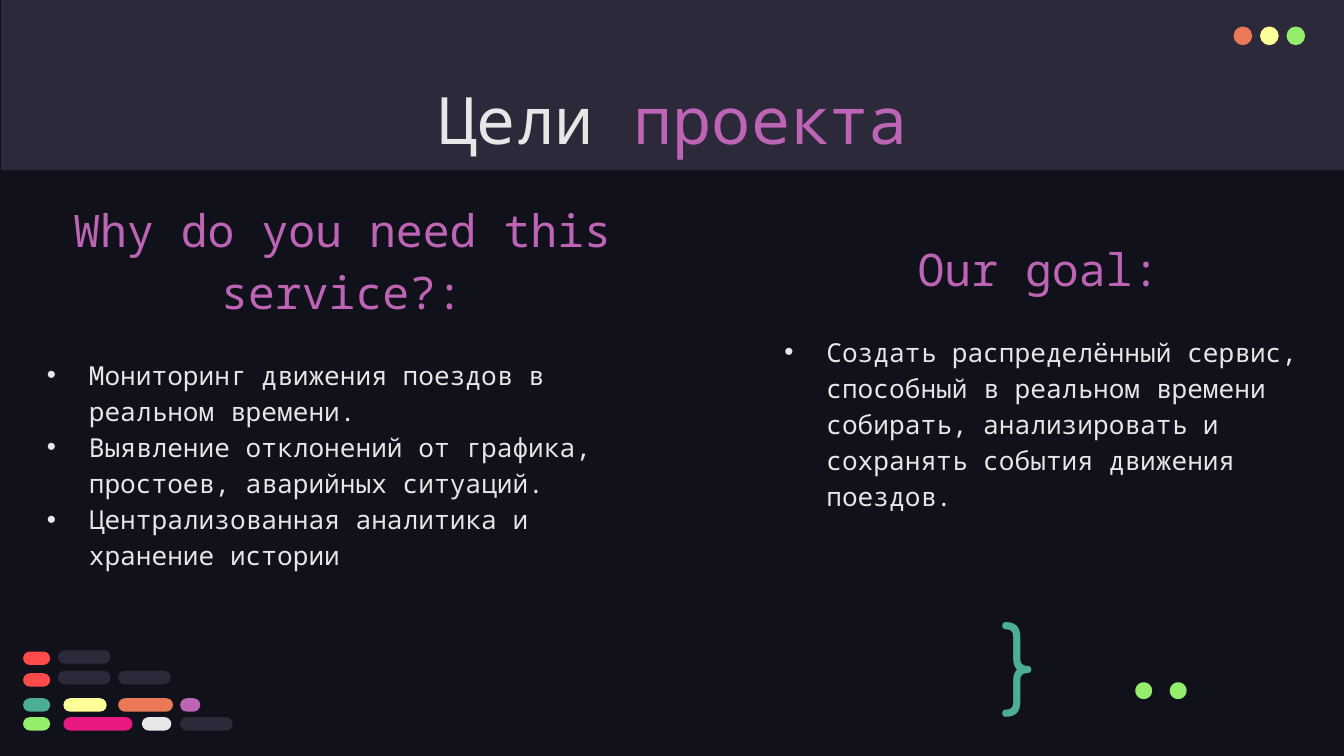
from lxml.etree import SubElement
from pptx import Presentation
from pptx.dml.color import RGBColor
from pptx.enum.shapes import MSO_SHAPE
from pptx.enum.text import MSO_ANCHOR, PP_ALIGN
from pptx.oxml.ns import qn
from pptx.util import Pt

COLORS = {
    "night": "10111A", "slate": "2C293A", "orange": "EC7955", "yellow": "FFFF99",
    "green": "94EE6B", "white": "E7E7E7", "purple": "BD64B5", "red": "FD4A4A",
    "teal": "4CAE97", "pink": "E81A81",
}
MONO = "Noto Sans Mono"
BAR_HEIGHT = 7.2

CODE_BARS = [
    (349.1, [(12.4, 14.5, "red")]),
    (360.7, [(12.4, 14.5, "red")]),
    (374.1, [(12.4, 14.5, "teal"), (34, 23.2, "yellow"),
             (63.3, 29.4, "orange"), (96.5, 10.8, "purple")]),
    (384.2, [(12.4, 14.5, "green"), (34, 37, "pink"),
             (76, 15.8, "white"), (96.5, 28.2, "slate")]),
    (359.4, [(31, 28.2, "slate"), (63.3, 28.2, "slate")]),
    (348.4, [(31, 28.2, "slate")]),
]
REASONS = [
    "Мониторинг движения поездов в реальном времени.",
    "Выявление отклонений от графика, простоев, аварийных ситуаций.",
    "Централизованная аналитика и хранение истории",
]
GOALS = [
    "Создать распределённый сервис, способный в реальном времени собирать, "
    "анализировать и сохранять события движения поездов.",
]


def color(name):
    return RGBColor.from_string(COLORS[name])


def add_block(page, kind, left, top, width, height, fill):
    block = page.shapes.add_shape(kind, Pt(left), Pt(top), Pt(width), Pt(height))
    block.shadow.inherit = False
    block.fill.solid()
    block.fill.fore_color.rgb = color(fill)
    block.line.fill.background()
    return block


def add_text_box(page, left, top, width, height, anchor=MSO_ANCHOR.TOP):
    box = page.shapes.add_textbox(Pt(left), Pt(top), Pt(width), Pt(height))
    frame = box.text_frame
    frame.word_wrap = True
    frame.vertical_anchor = anchor
    frame.margin_left = frame.margin_right = Pt(7.2)
    frame.margin_top = frame.margin_bottom = Pt(7.2)
    return frame


def format_span(span, size, fill, font=MONO):
    span.font.name = font
    span.font.size = Pt(size)
    span.font.color.rgb = color(fill)


def add_bullet(para, margin, hanging):
    properties = para._p.get_or_add_pPr()
    properties.set("marL", str(Pt(margin)))
    properties.set("indent", str(-Pt(hanging)))
    bullet_color = SubElement(properties, qn("a:buClr"))
    SubElement(bullet_color, qn("a:srgbClr"), val=COLORS["white"])
    SubElement(properties, qn("a:buFont"), typeface="Arial")
    SubElement(properties, qn("a:buChar"), char="•")


def add_title(page):
    para = add_text_box(page, 56.9, 35.3, 607, 45.4).paragraphs[0]
    para.alignment = PP_ALIGN.CENTER
    for words, fill in [("Цели ", "white"), ("проекта", "purple")]:
        span = para.add_run()
        span.text = words
        format_span(span, 35, fill)


def add_column(page, left, top, width, height, heading, items, margin):
    frame = add_text_box(page, left, top, width, height)
    frame.text = "\n".join([heading, *items])
    for index, para in enumerate(frame.paragraphs):
        para.line_spacing = 1.15
        if index == 0:
            para.alignment = PP_ALIGN.CENTER
            para.space_after = Pt(19.3)
            format_span(para.runs[0], 24, "purple")
        else:
            add_bullet(para, margin, 22.5)
            format_span(para.runs[0], 14, "white")


def add_symbol(page, left, top, width, height, symbol, fill, font, align, anchor):
    frame = add_text_box(page, left, top, width, height, anchor)
    frame.text = symbol
    para = frame.paragraphs[0]
    para.alignment = align
    format_span(para.runs[0], 50, fill, font)


def add_window_dots(page):
    for index, fill in enumerate(["orange", "yellow", "green"]):
        add_block(page, MSO_SHAPE.OVAL, 660.8 + index * 14.2, 14.2, 10, 10, fill)


def add_code_bars(page):
    for top, bars in CODE_BARS:
        for left, width, fill in bars:
            bar = add_block(page, MSO_SHAPE.ROUNDED_RECTANGLE,
                            left, top, width, BAR_HEIGHT, fill)
            bar.adjustments[0] = 0.5


def main():
    deck = Presentation()
    deck.slide_width, deck.slide_height = Pt(720), Pt(405)
    page = deck.slides.add_slide(deck.slide_layouts[6])
    page.background.fill.solid()
    page.background.fill.fore_color.rgb = color("night")

    add_block(page, MSO_SHAPE.RECTANGLE, 0.6, 0, 720, 91.2, "slate")
    add_window_dots(page)
    add_title(page)
    add_column(page, 401.8, 118, 309, 199.4, "Our goal:", GOALS, 33.8)
    add_column(page, 18, 97.2, 330.5, 242, "Why do you need this service?:", REASONS, 22.5)
    add_code_bars(page)
    add_symbol(page, 529.2, 315.4, 41, 59.8, "}", "teal", "Comfortaa",
               PP_ALIGN.LEFT, MSO_ANCHOR.TOP)
    add_symbol(page, 583.2, 332.6, 77, 43.2, "..", "green", "Fira Code",
               PP_ALIGN.RIGHT, MSO_ANCHOR.MIDDLE)
    deck.save("out.pptx")


if __name__ == "__main__":
    main()
